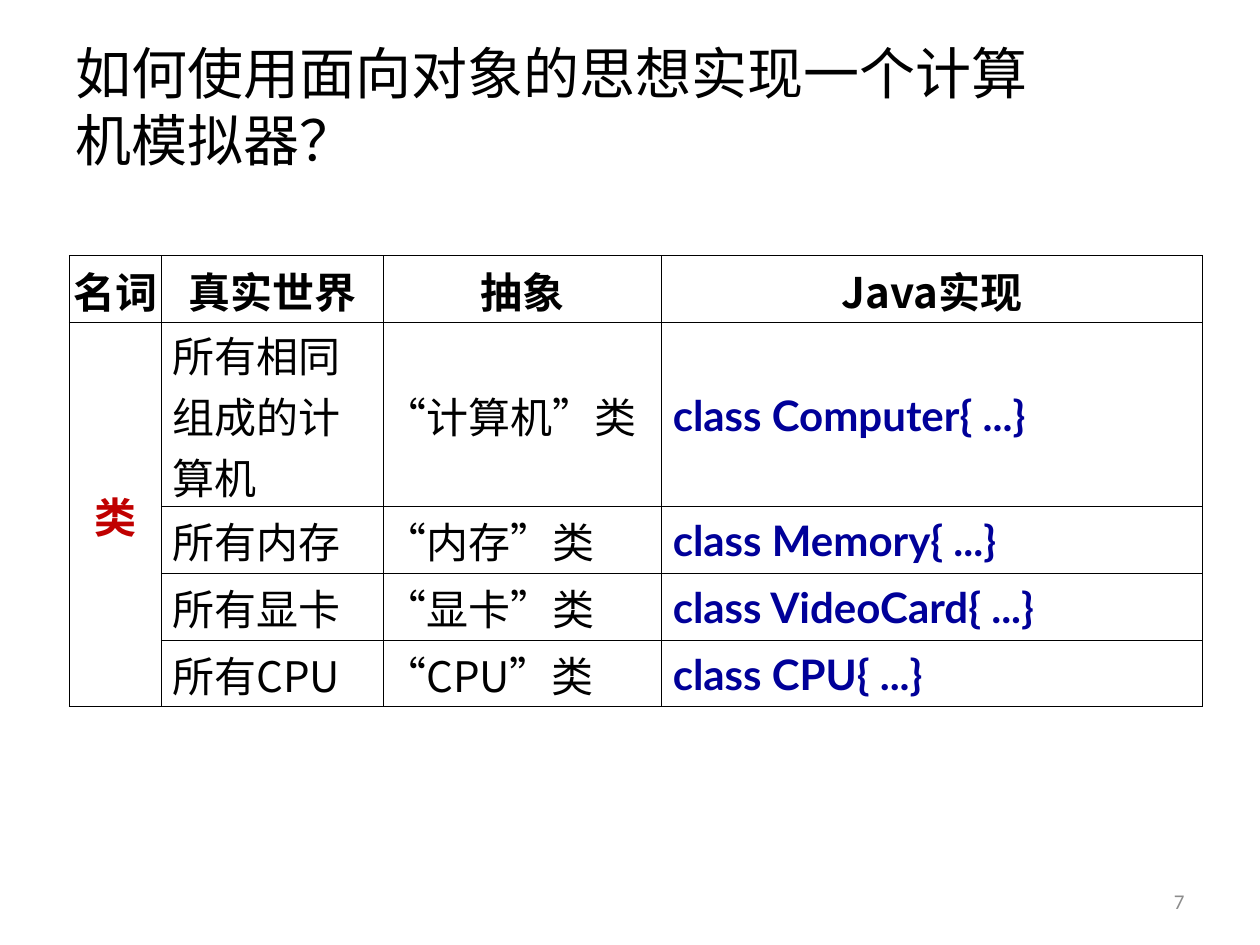
from lxml import etree
from pptx import Presentation
from pptx import util as u
from pptx.dml.color import RGBColor
from pptx.enum import text
from pptx.oxml import ns

COLORS = {"black": "000000", "red": "C00000", "blue": "000099", "grey": "8C8C8C"}
CJK = "Noto Sans CJK SC"


def write(frame, words, size=24, font=CJK, color="black", bold=False, align="LEFT", indent=0):
    frame.word_wrap = True
    frame.vertical_anchor = text.MSO_ANCHOR.MIDDLE
    para = frame.paragraphs[0]
    para.alignment = getattr(text.PP_ALIGN, align)
    if indent:
        para._p.get_or_add_pPr().set("marL", str(u.Inches(indent)))
    span = para.add_run()
    span.text = words
    span.font.size = u.Pt(size)
    span.font.name = font
    span.font.bold = bold
    span.font.color.rgb = RGBColor.from_string(COLORS[color])
    span.font.language_id = None
    props = span._r.get_or_add_rPr()
    props.set("lang", "zh-CN")
    # Chinese glyphs use the East Asian font slot
    etree.SubElement(props, ns.qn("a:ea")).set("typeface", font)


def add_borders(cell):
    props = cell._tc.get_or_add_tcPr()
    for position, side in enumerate(("a:lnL", "a:lnR", "a:lnT", "a:lnB")):
        line = etree.Element(ns.qn(side), w=str(u.Pt(0.5)))
        fill = etree.SubElement(line, ns.qn("a:solidFill"))
        etree.SubElement(fill, ns.qn("a:srgbClr"), val=COLORS["black"])
        props.insert(position, line)


deck = Presentation()
deck.slide_width, deck.slide_height = u.Inches(10), u.Inches(7.5)
page = deck.slides.add_slide(deck.slide_layouts[6])

# Table of nouns and their classes
rows = [
    ("名词", "真实世界", "抽象", "Java实现"),
    ("类", "所有相同组成的计算机", "“计算机”类", "class Computer{ ...}"),
    ("", "所有内存", "“内存”类", "class Memory{ ...}"),
    ("", "所有显卡", "“显卡”类", "class VideoCard{ ...}"),
    ("", "所有CPU", "“CPU”类", "class CPU{ ...}"),
]
header = dict(bold=True, align="CENTER")
column_formats = [
    dict(color="red", bold=True, align="CENTER"),
    dict(indent=0.08),
    dict(),
    dict(font="Lato", color="blue", bold=True, indent=0.08),
]
widths = [0.73, 1.76, 2.21, 4.29]
heights = [0.53, 1.24, 0.53, 0.53, 0.53]

frame = page.shapes.add_table(len(rows), len(widths), u.Inches(0.55), u.Inches(2.03),
                              u.Inches(sum(widths)), u.Inches(sum(heights)))
table = frame.table
table.first_row = table.horz_banding = False
for column, width in zip(table.columns, widths):
    column.width = u.Inches(width)
for row, height in zip(table.rows, heights):
    row.height = u.Inches(height)
table.cell(1, 0).merge(table.cell(4, 0))

for r, row in enumerate(rows):
    for c, words in enumerate(row):
        cell = table.cell(r, c)
        cell.margin_left = cell.margin_right = cell.margin_top = u.Inches(0.01)
        cell.margin_bottom = 0
        cell.vertical_anchor = text.MSO_ANCHOR.MIDDLE
        cell.fill.background()
        add_borders(cell)
        if words:
            write(cell.text_frame, words, **(column_formats[c] if r else header))

# Page number and title
for words, place, style in [
    ("7", (7.17, 6.95, 2.33, 0.4), dict(size=12, color="grey", align="RIGHT")),
    ("如何使用面向对象的思想实现一个计算机模拟器？", (0.5, 0.13, 7.86, 1.42), dict(size=32)),
]:
    box = page.shapes.add_textbox(*map(u.Inches, place))
    write(box.text_frame, words, font="Calibri", **style)

deck.save("out.pptx")
